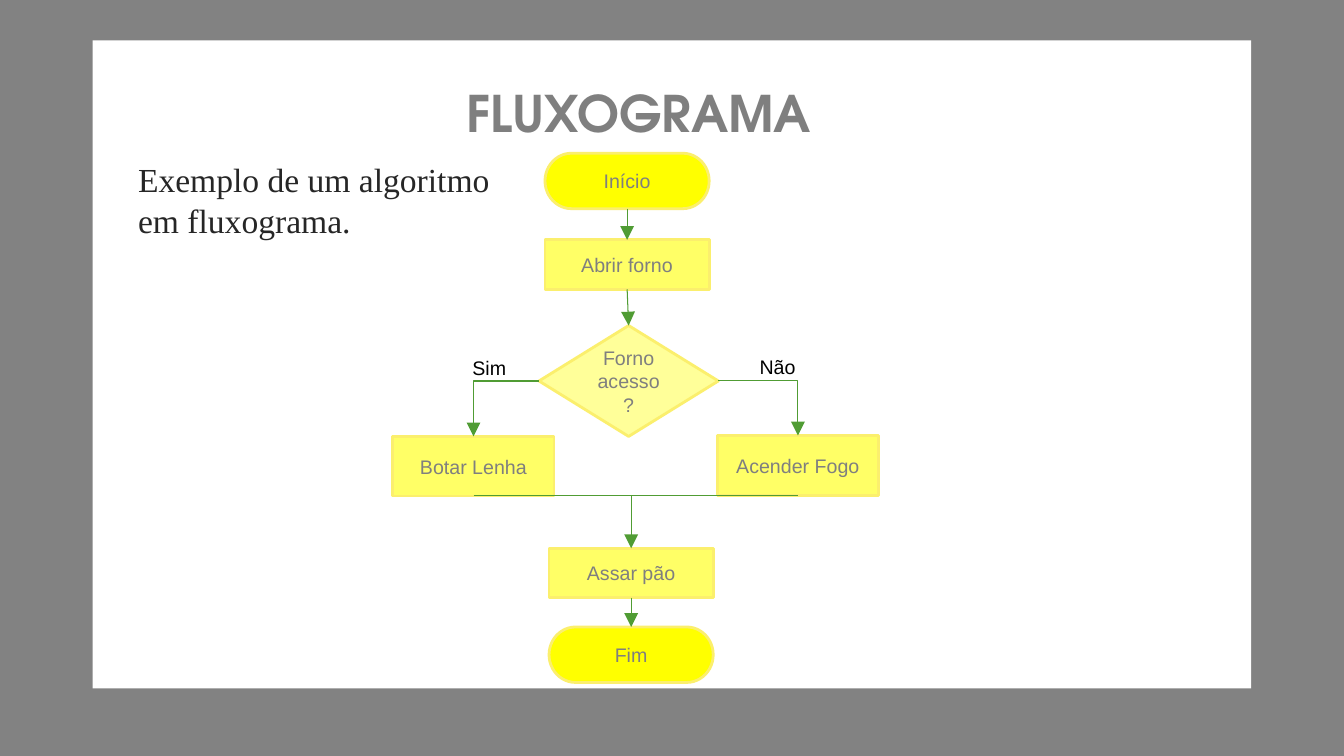
from dataclasses import dataclass

from lxml.etree import SubElement
from pptx import Presentation
from pptx.dml.color import RGBColor
from pptx.enum.shapes import MSO_CONNECTOR as Connector, MSO_SHAPE as Shape
from pptx.enum.text import MSO_ANCHOR as Anchor, MSO_AUTO_SIZE as AutoSize, PP_ALIGN as Align
from pptx.oxml.ns import qn
from pptx.util import Inches, Pt

# Content
TITLE = "FLUXOGRAMA"
BODY = "Exemplo de um algoritmo em fluxograma."
TERMINATOR, PROCESS, DECISION = (
    Shape.FLOWCHART_TERMINATOR, Shape.FLOWCHART_PROCESS, Shape.FLOWCHART_DECISION)
# name: (text, kind, left, top, width, height)
STEPS = {
    "start": ("Início", TERMINATOR, 5.41, 1.52, 1.63, 0.55),
    "open": ("Abrir forno", PROCESS, 5.41, 2.38, 1.63, 0.49),
    "lit": ("Forno acesso?", DECISION, 5.35, 3.23, 1.78, 1.1),
    "wood": ("Botar Lenha", PROCESS, 3.9, 4.33, 1.6, 0.59),
    "fire": ("Acender Fogo", PROCESS, 7.12, 4.32, 1.6, 0.6),
    "bake": ("Assar pão", PROCESS, 5.45, 5.44, 1.63, 0.49),
    "end": ("Fim", TERMINATOR, 5.45, 6.22, 1.63, 0.55),
}
TOP, LEFT, BOTTOM, RIGHT = range(4)
# (from step, side, to step, side, has arrowhead)
LINKS = [
    ("start", BOTTOM, "open", TOP, True),
    ("open", BOTTOM, "lit", TOP, True),
    ("lit", LEFT, "wood", TOP, True),
    ("lit", RIGHT, "fire", TOP, True),
    ("wood", BOTTOM, "fire", BOTTOM, False),
    ("bake", BOTTOM, "end", TOP, True),
]
BRANCH_LABELS = [("Sim", 4.59, 3.48), ("Não", 7.44, 3.47)]


@dataclass(frozen=True)
class Theme:
    frame: str = "000000"
    frame_alpha: int = 49
    panel: str = "FFFFFF"
    gray: str = "7F7F7F"
    body: str = "262626"
    label: str = "000000"
    outline: str = "FBEF6D"
    link: str = "509C34"
    title_font: str = "TeX Gyre Adventor"
    body_font: str = "Times New Roman"
    step_font: str = "Arial"
    title_size: int = 36
    body_size: int = 24
    step_size: int = 14


theme = Theme()
STEP_FILLS = {TERMINATOR: "FFFF00", PROCESS: "FFFF66", DECISION: "FFFF99"}


def color(value):
    return RGBColor.from_string(value)


def place(shape, *box):
    shape.left, shape.top, shape.width, shape.height = map(Inches, box)


def write(shape, text, font, size, ink, align=Align.LEFT, anchor=Anchor.TOP, bold=False):
    frame = shape.text_frame
    frame.word_wrap = True
    frame.auto_size = AutoSize.NONE
    frame.vertical_anchor = anchor
    paragraph = frame.paragraphs[0]
    paragraph.alignment = align
    run = paragraph.add_run()
    run.text = text
    run.font.name, run.font.size, run.font.bold = font, Pt(size), bold
    run.font.color.rgb = color(ink)
    return paragraph


def add_filled(slide, kind, box, fill):
    shape = slide.shapes.add_shape(kind, *map(Inches, box))
    shape.shadow.inherit = False
    shape.fill.solid()
    shape.fill.fore_color.rgb = color(fill)
    shape.line.fill.background()
    return shape


def add_link(slide, kind=Connector.STRAIGHT, arrow=True):
    link = slide.shapes.add_connector(kind, 0, 0, 0, 0)
    link.line.color.rgb = color(theme.link)
    link.line.width = Pt(0.75)
    if arrow:
        SubElement(link.line._get_or_add_ln(), qn("a:tailEnd"),
                   type="triangle", w="lg", len="lg")
    SubElement(link._element.spPr, qn("a:effectLst"))
    return link


def add_backdrop(slide):
    frame = add_filled(slide, Shape.RECTANGLE, (0, 0, 13.34, 7.5), theme.frame)
    tint = frame._element.spPr.find(".//" + qn("a:srgbClr"))
    SubElement(tint, qn("a:alpha"), val=str(theme.frame_alpha * 1000))
    panel = add_filled(slide, Shape.RECTANGLE, (0.92, 0.4, 11.5, 6.43), theme.panel)
    # Both go behind the placeholders
    for position, shape in enumerate((frame, panel), start=2):
        slide.shapes._spTree.insert(position, shape._element)


def add_texts(slide):
    title, body = slide.shapes.title, slide.placeholders[1]
    place(title, 4.53, 0.43, 3.95, 1.45)
    paragraph = write(title, TITLE, theme.title_font, theme.title_size, theme.gray,
                      anchor=Anchor.MIDDLE, bold=True)
    paragraph.line_spacing = 0.9
    place(body, 1.27, 1.52, 3.72, 1.71)
    paragraph = write(body, BODY, theme.body_font, theme.body_size, theme.body)
    paragraph.line_spacing = 1.02
    paragraph.space_before = Pt(0)
    properties = paragraph._p.get_or_add_pPr()
    properties.set("marL", "0")
    properties.set("indent", "0")
    SubElement(properties, qn("a:buNone"))


def add_flowchart(slide):
    # Steps
    steps = {}
    for name, (text, kind, *box) in STEPS.items():
        step = steps[name] = add_filled(slide, kind, box, STEP_FILLS[kind])
        step.line.color.rgb = color(theme.outline)
        step.line.width = Pt(2)
        write(step, text, theme.step_font, theme.step_size, theme.gray,
              Align.CENTER, Anchor.MIDDLE)

    # Links between steps; a side exit turns once
    for source, exit_side, target, entry_side, arrow in LINKS:
        turns = exit_side in (LEFT, RIGHT)
        link = add_link(slide, Connector.ELBOW if turns else Connector.STRAIGHT, arrow)
        link.begin_connect(steps[source], exit_side)
        link.end_connect(steps[target], entry_side)
        if turns:
            link._element.spPr.find(qn("a:prstGeom")).set("prst", "bentConnector2")

    # Arrow from the line that joins both branches into the next step
    wood, bake = steps["wood"], steps["bake"]
    merge = add_link(slide)
    merge.begin_x = bake.left + bake.width // 2
    merge.begin_y = wood.top + wood.height
    merge.end_connect(bake, TOP)

    # Branch labels
    for text, left, top in BRANCH_LABELS:
        label = slide.shapes.add_textbox(*map(Inches, (left, top, 0.61, 0.34)))
        write(label, text, theme.step_font, theme.step_size, theme.label)


def main():
    presentation = Presentation()
    presentation.slide_width, presentation.slide_height = Inches(13.34), Inches(7.5)
    slide = presentation.slides.add_slide(presentation.slide_layouts[1])
    add_backdrop(slide)
    add_texts(slide)
    add_flowchart(slide)
    presentation.save("out.pptx")


if __name__ == "__main__":
    main()
